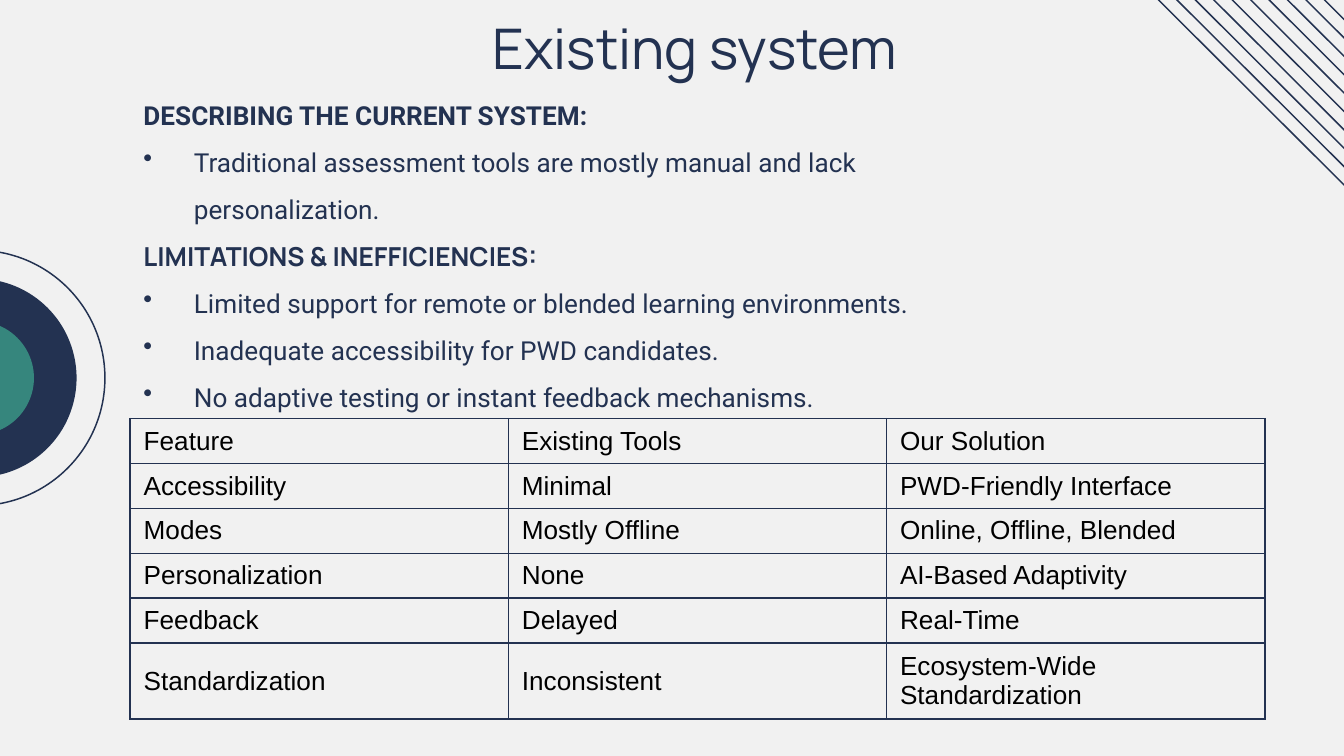
from lxml import etree
from pptx import Presentation
from pptx.dml.color import RGBColor
from pptx.enum.shapes import MSO_CONNECTOR, MSO_SHAPE
from pptx.enum.text import MSO_ANCHOR, PP_ALIGN
from pptx.oxml.ns import qn
from pptx.util import Pt

OVAL = MSO_SHAPE.OVAL
STRAIGHT = MSO_CONNECTOR.STRAIGHT
MIDDLE = MSO_ANCHOR.MIDDLE
CENTER = PP_ALIGN.CENTER

NAVY, GREEN, PAPER, BLACK = "233251", "36867D", "F1F1F1", "000000"
THIN = 0.78
INDENT = 27

# (text, font, is heading)
BODY = [
    ("DESCRIBING THE CURRENT SYSTEM:", "Roboto", True),
    ("Traditional assessment tools are mostly manual and lack personalization.", "Roboto", False),
    ("LIMITATIONS & INEFFICIENCIES:", "Manrope", True),
    ("Limited support for remote or blended learning environments.", "Roboto", False),
    ("Inadequate accessibility for PWD candidates.", "Roboto", False),
    ("No adaptive testing or instant feedback mechanisms.", "Roboto", False),
]
COMPARISON = [
    ("Feature", "Existing Tools", "Our Solution"),
    ("Accessibility", "Minimal", "PWD-Friendly Interface"),
    ("Modes", "Mostly Offline", "Online, Offline, Blended"),
    ("Personalization", "None", "AI-Based Adaptivity"),
    ("Feedback", "Delayed", "Real-Time"),
    ("Standardization", "Inconsistent", "Ecosystem-Wide Standardization"),
]
ROW_HEIGHTS = [24] * 5 + [40.7]


def rgb(color):
    return RGBColor.from_string(color)


def set_font(p, name, size, color, bold=False):
    for r in p.runs:
        r.font.name = name
        r.font.size = Pt(size)
        r.font.bold = bold
        r.font.color.rgb = rgb(color)


def add_bullet(p):
    pPr = p._p.get_or_add_pPr()
    pPr.set("marL", str(Pt(INDENT)))
    pPr.set("indent", str(-Pt(INDENT)))
    etree.SubElement(pPr, qn("a:buChar"), char="•")


def add_textbox(s, x, y, w, h, margin_y):
    tf = s.shapes.add_textbox(Pt(x), Pt(y), Pt(w), Pt(h)).text_frame
    tf.word_wrap = True
    tf.margin_top = tf.margin_bottom = Pt(margin_y)
    return tf


def add_line(s, x1, y1, x2, y2):
    line = s.shapes.add_connector(STRAIGHT, Pt(x1), Pt(y1), Pt(x2), Pt(y2))
    line.line.color.rgb = rgb(NAVY)
    line.line.width = Pt(THIN)
    etree.SubElement(line._element.spPr, qn("a:effectLst"))


def add_circle(s, cx, cy, radius, fill=None):
    """Draw a filled circle, or a thin outline when no fill is given."""
    sp = s.shapes.add_shape(OVAL, Pt(cx - radius), Pt(cy - radius),
                            Pt(2 * radius), Pt(2 * radius))
    sp.shadow.inherit = False
    if fill:
        sp.fill.solid()
        sp.fill.fore_color.rgb = rgb(fill)
        sp.line.fill.background()
    else:
        sp.fill.background()
        sp.line.color.rgb = rgb(NAVY)
        sp.line.width = Pt(THIN)


def add_stripes(s):
    for i in range(10):
        x = 581.2 + 9.88 * i
        add_line(s, x, -39.4, x + 157.4, 117.6)


def add_title(s):
    tf = add_textbox(s, 63.4, 0, 617.8, 45.4, 7.2)
    p = tf.paragraphs[0]
    p.text = "Existing system"
    p.alignment = CENTER
    set_font(p, "Manrope", 30, NAVY)


def add_body(s):
    tf = add_textbox(s, 69.8, 40.3, 457.9, 185, 3.6)
    tf.vertical_anchor = MIDDLE
    for i, (text, font, heading) in enumerate(BODY):
        p = tf.add_paragraph() if i else tf.paragraphs[0]
        p.text = text
        p.line_spacing = 1.5
        if not heading:
            add_bullet(p)
        set_font(p, font, 14, NAVY, heading)


def set_borders(cell):
    tcPr = cell._tc.get_or_add_tcPr()
    for i, side in enumerate(("lnL", "lnR", "lnT", "lnB")):
        ln = etree.Element(qn(f"a:{side}"), w=str(Pt(1)))
        fill = etree.SubElement(ln, qn("a:solidFill"))
        etree.SubElement(fill, qn("a:srgbClr"), val=NAVY)
        tcPr.insert(i, ln)


def add_comparison(s):
    table = s.shapes.add_table(len(COMPARISON), 3, Pt(69.8), Pt(224.3),
                               Pt(607.8), Pt(sum(ROW_HEIGHTS))).table
    table.first_row = table.horz_banding = False
    for row, height, texts in zip(table.rows, ROW_HEIGHTS, COMPARISON):
        row.height = Pt(height)
        for cell, text in zip(row.cells, texts):
            cell.text = text
            cell.vertical_anchor = MIDDLE
            cell.fill.solid()
            cell.fill.fore_color.rgb = rgb(PAPER)
            set_borders(cell)
            set_font(cell.text_frame.paragraphs[0], "Arial", 14, BLACK)


def main():
    prs = Presentation()
    prs.slide_width, prs.slide_height = Pt(720), Pt(405)
    s = prs.slides.add_slide(prs.slide_layouts[6])
    s.background.fill.solid()
    s.background.fill.fore_color.rgb = rgb(PAPER)

    add_stripes(s)
    for radius, fill in ((53.2, NAVY), (68.4, None), (30.4, GREEN)):
        add_circle(s, -12.2, 202.5, radius, fill)
    add_title(s)
    add_body(s)
    add_comparison(s)
    prs.save("out.pptx")


if __name__ == "__main__":
    main()
